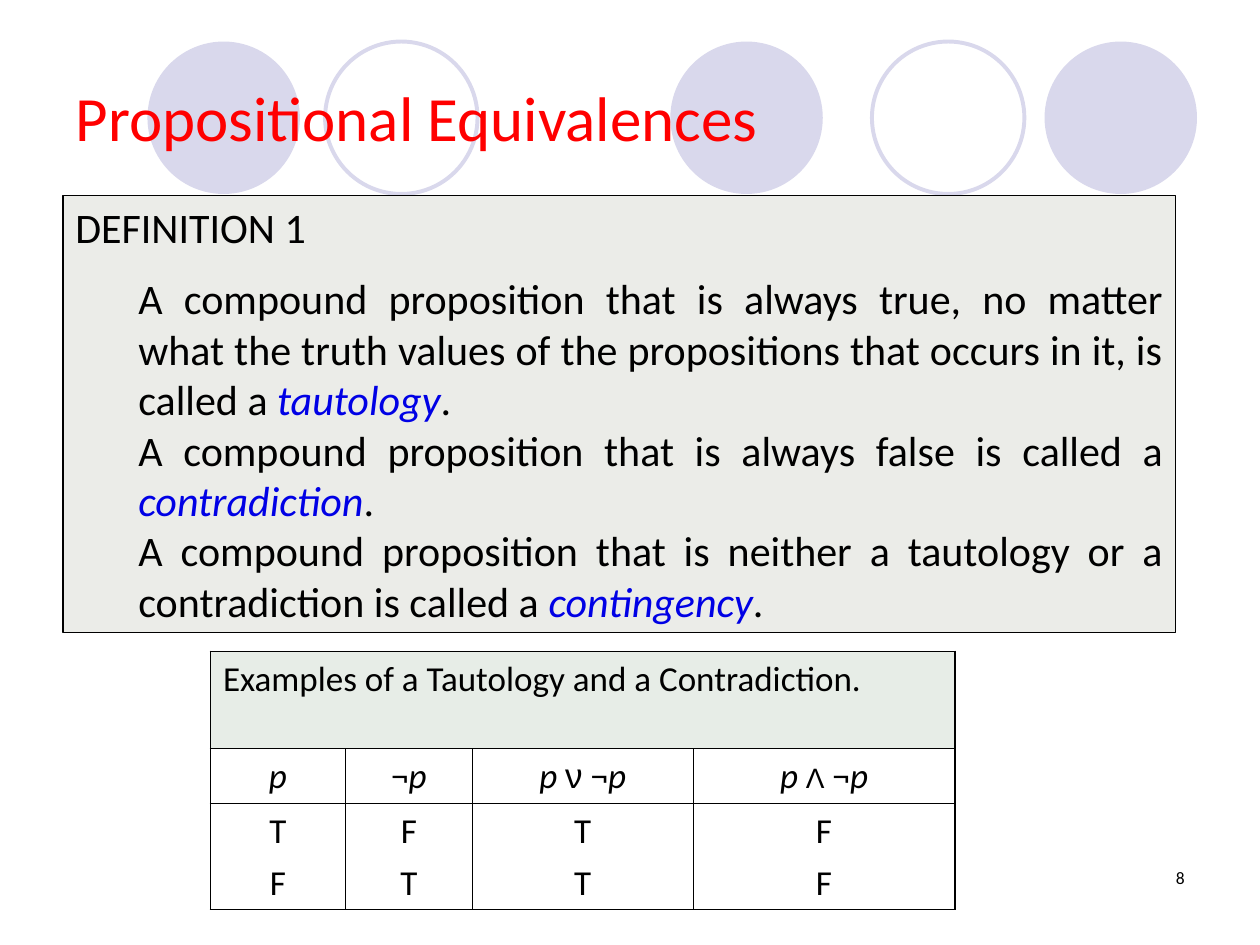
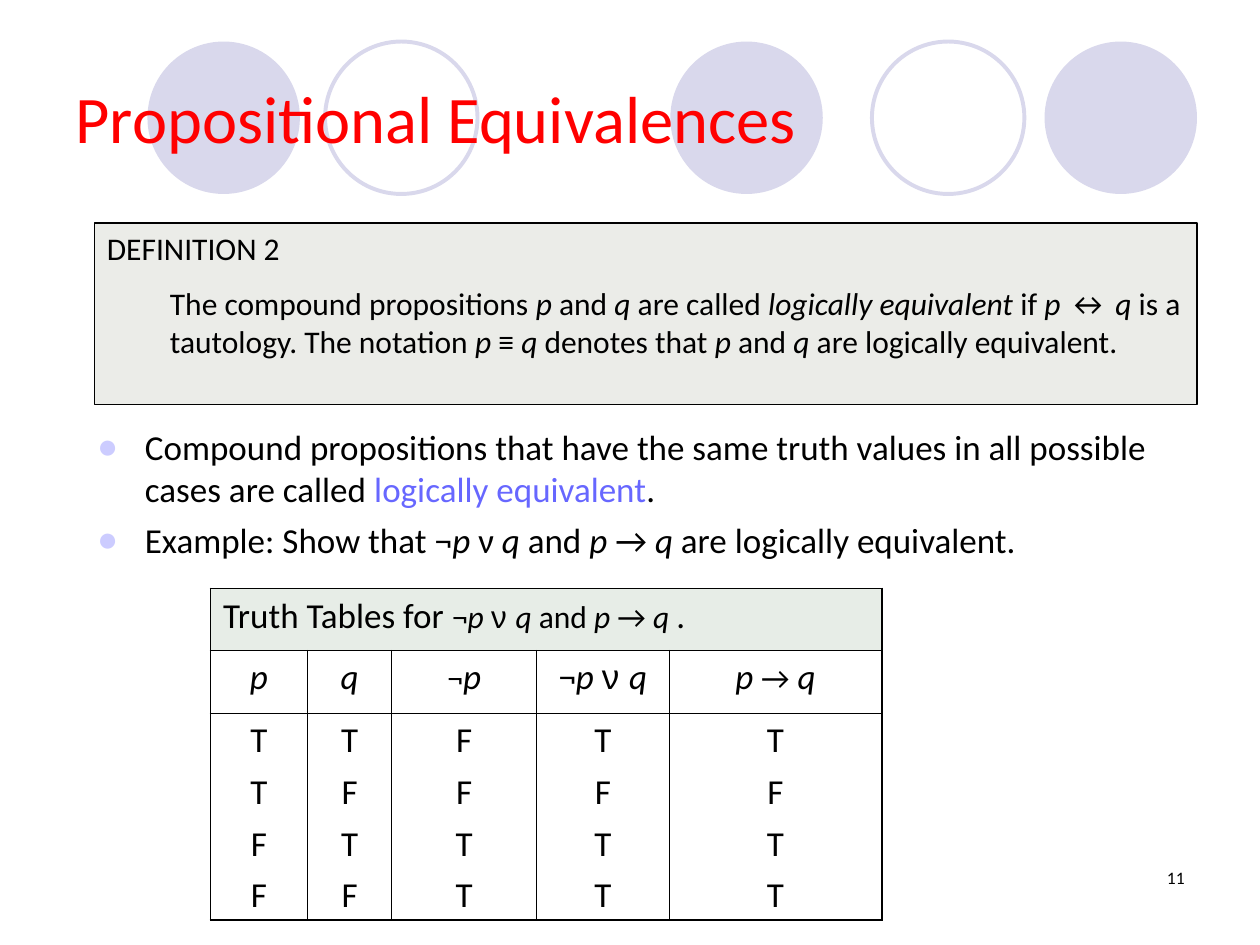
from dataclasses import dataclass, field

from lxml import etree
from pptx import Presentation
from pptx.dml.color import RGBColor
from pptx.enum.shapes import MSO_SHAPE
from pptx.enum.text import MSO_ANCHOR, MSO_AUTO_SIZE, PP_ALIGN
from pptx.oxml.ns import qn
from pptx.util import Inches, Pt

OVAL, RECT = MSO_SHAPE.OVAL, MSO_SHAPE.RECTANGLE
TOP, MIDDLE, FIXED = MSO_ANCHOR.TOP, MSO_ANCHOR.MIDDLE, MSO_AUTO_SIZE.NONE
LEFT, RIGHT, CENTER, JUST = PP_ALIGN.LEFT, PP_ALIGN.RIGHT, PP_ALIGN.CENTER, PP_ALIGN.JUSTIFY


@dataclass(frozen=True)
class Theme:
    """Colours, fonts, sizes and named run styles."""
    ink: str = "000000"
    red: str = "FF0000"
    disc: str = "D9D8EC"
    panel: str = "EBECE8"
    head: str = "E7EDE7"
    dot: str = "CCCCFF"
    font: str = "Calibri"
    sign: str = "Arial"
    text: int = 20
    page: int = 10
    gap: int = 5
    thin: float = 0.45
    thick: float = 1.08
    marks: dict = field(default_factory=lambda: {
        "i": {"italic": True},
        "b": {"italic": True, "color": "0000E5"},
        "v": {"color": "6767FF"},
        "g": {"name": "Arial"},
        "l": {"name": "Arial", "size": 16},
        "s": {"size": 18},
        "j": {"size": 18, "italic": True},
        "h": {"size": 18, "name": "Arial"},
    })


THEME = Theme()


def inches(*box):
    """Turn numbers into lengths."""
    return [Inches(n) for n in box]


def rgb(code):
    """Turn a hex code into a colour."""
    return RGBColor.from_string(code)


def apply(item, **vals):
    """Set attributes of an object from format values."""
    for key, val in vals.items():
        setattr(item, key, val)


def style(font, **look):
    """Format a font from plain values."""
    for key, val in look.items():
        if key == "color":
            font.color.rgb = rgb(val)
        else:
            setattr(font, key, Pt(val) if key == "size" else val)


def write(para, text, size, color=THEME.ink):
    """Fill a paragraph; each |x...| part takes the run style named x."""
    base = {"name": THEME.font, "size": size, "color": color, "italic": False}
    for n, part in enumerate(text.split("|")):
        if part:
            look = THEME.marks[part[0]] if n % 2 else {}
            run = para.add_run()
            run.text = part[1:] if n % 2 else part
            style(run.font, **{**base, **look})


def fill_text(frame, lines, size, align=LEFT, gap=0, color=THEME.ink):
    """Write lines into a frame and return their paragraphs."""
    paras = []
    for n, line in enumerate(lines):
        para = frame.add_paragraph() if n else frame.paragraphs[0]
        apply(para, alignment=align, space_before=Pt(gap if n else 0))
        write(para, line, size, color)
        paras.append(para)
    return paras


def add_discs(deck, slide):
    """Draw the circle band and move it to the master."""
    tree = deck.slide_master.shapes.element
    spots = [(5.32, True), (8.29, True), (1.17, True), (6.92, False), (2.58, False)]
    for n, (left, solid) in enumerate(spots):
        disc = slide.shapes.add_shape(OVAL, *inches(left, 0.33, 1.21, 1.21))
        disc.shadow.inherit = False
        if solid:
            disc.fill.solid()
            disc.fill.fore_color.rgb = rgb(THEME.disc)
            disc.line.fill.background()
        else:
            disc.fill.background()
            disc.line.color.rgb = rgb(THEME.disc)
            disc.line.width = Pt(2.25)
        disc.element.nvSpPr.cNvPr.id = 20 + n
        tree.insert(2 + n, disc.element)


def place(shape, box):
    """Move a shape to a box."""
    apply(shape, **dict(zip(("left", "top", "width", "height"), inches(*box))))


def add_base(deck, layout, size, page):
    """Start a slide with its title and page number."""
    slide = deck.slides.add_slide(deck.slide_layouts[layout])
    title = slide.shapes.title
    place(title, (0.5, 0.3, 9, 1.25))
    apply(title.text_frame, vertical_anchor=MIDDLE, auto_size=FIXED)
    fill_text(title.text_frame, ["Propositional Equivalences"], size, color=THEME.red)
    note = slide.shapes.add_textbox(*inches(7.17, 6.83, 2.33, 0.5))
    note.text_frame.word_wrap = True
    fill_text(note.text_frame, [page], THEME.page, RIGHT)
    return slide


def add_panel(slide, box, lines, size, align, gap):
    """Draw a definition box: a heading, then indented lines."""
    panel = slide.shapes.add_shape(RECT, *inches(*box))
    panel.shadow.inherit = False
    panel.fill.solid()
    panel.fill.fore_color.rgb = rgb(THEME.panel)
    panel.line.color.rgb = rgb(THEME.ink)
    panel.line.width = Pt(0.75)
    apply(panel.text_frame, word_wrap=True, vertical_anchor=TOP)
    paras = fill_text(panel.text_frame, lines, size, align)
    paras[1].space_before = Pt(gap)
    for para in paras[1:]:
        para.level = 1
        props = para._p.get_or_add_pPr()
        props.set("marL", str(Inches(0.5)))
        props.set("indent", "0")


def add_list(slide, box, lines):
    """Fill the body placeholder with a bulleted list."""
    body = slide.placeholders[1]
    place(body, box)
    body.text_frame.auto_size = FIXED
    for para in fill_text(body.text_frame, lines, THEME.text, gap=THEME.gap):
        props = para._p.get_or_add_pPr()
        props.set("marL", str(Inches(0.38)))
        props.set("indent", str(-Inches(0.38)))
        tint = etree.SubElement(props, qn("a:buClr"))
        etree.SubElement(tint, qn("a:srgbClr"), val=THEME.dot)
        etree.SubElement(props, qn("a:buFont"), typeface=THEME.sign)
        etree.SubElement(props, qn("a:buChar"), char="●")


def edge(cell, side, width):
    """Add one border to a cell."""
    line = etree.SubElement(cell._tc.get_or_add_tcPr(), qn(f"a:ln{side}"), w=str(Pt(width)))
    paint = etree.SubElement(line, qn("a:solidFill"))
    etree.SubElement(paint, qn("a:srgbClr"), val=THEME.ink)


def add_truth(slide, spot, cols, rows, title, heads, vals):
    """Draw a truth table; each value string lists one column downwards."""
    box = inches(*spot, sum(cols), sum(rows))
    table = slide.shapes.add_table(len(rows), len(cols), *box).table
    apply(table, first_row=False, horz_banding=False)
    for col, width in zip(table.columns, cols):
        col.width = Inches(width)
    for row, height in zip(table.rows, rows):
        row.height = Inches(height)
    table.cell(0, 0).merge(table.cell(0, len(cols) - 1))
    grid = [[[title]], [[head] for head in heads], vals]
    for r, row in enumerate(grid):
        for c, lines in enumerate(row):
            cell = table.cell(r, c)
            ends = {"L": c == 0, "R": c + cell.span_width == len(cols) or r == 0,
                    "T": r == 0, "B": r == len(rows) - 1}
            for side, outer in ends.items():
                edge(cell, side, THEME.thick if outer else THEME.thin)
            if r:
                cell.fill.background()
            else:
                cell.fill.solid()
                cell.fill.fore_color.rgb = rgb(THEME.head)
            fill_text(cell.text_frame, lines, THEME.text, CENTER if r else LEFT, THEME.gap)


def build_kinds(deck):
    """Build the slide on tautology, contradiction and contingency."""
    slide = add_base(deck, 5, 36, "8")
    add_discs(deck, slide)
    add_panel(slide, (0.5, 1.55, 8.83, 3.47), [
        "DEFINITION 1",
        "A compound proposition that is always true, no matter what the truth values "
        "of the propositions that occurs in it, is called a |btautology|.",
        "A compound proposition that is always false is called a |bcontradiction|.",
        "A compound proposition that is neither a tautology or a contradiction "
        "is called a |bcontingency|.",
    ], 24, JUST, 12)
    add_truth(slide, (1.67, 5.17), (1.07, 1.01, 1.75, 2.08), (0.77, 0.44, 0.84),
              "Examples of a Tautology and a Contradiction.",
              ["|ip|", "¬|ip|", "|ip ||gν| ¬|ip|", "|ip ||lΛ| ¬|ip|"],
              ["TF", "FT", "TT", "FF"])


def build_equal(deck):
    """Build the slide on logical equivalence."""
    slide = add_base(deck, 1, 38, "11")
    add_panel(slide, (0.75, 1.77, 8.75, 1.44), [
        "DEFINITION 2",
        "The compound propositions |ip| and |iq| are called |ilogically equivalent| if "
        "|ip |↔ |iq| is a tautology. The notation |ip |≡ |iq| denotes that |ip| and |iq| "
        "are logically equivalent.",
    ], 18, LEFT, 10)
    add_truth(slide, (1.67, 4.67), (0.77, 0.67, 1.15, 1.05, 1.69), (0.49, 0.5, 1.64),
              "Truth Tables for |s¬||jp ||hν ||jq||s and ||jp||s → ||jq |.",
              ["|ip|", "|iq|", "|s¬||ip|", "¬|ip ||gν ||iq|", "|ip ||s→| |iq|"],
              ["TTFF", "TFTF", "FFTT", "TFTT", "TFTT"])
    add_list(slide, (0.67, 3.33, 9.08, 1.42), [
        "Compound propositions that have the same truth values in all possible cases "
        "are called |vlogically equivalent|.",
        "Example: Show that ¬|ip |ν |iq| and |ip| → |iq| are logically equivalent.",
    ])


def main():
    """Build and save the deck."""
    deck = Presentation()
    apply(deck, slide_width=Inches(10), slide_height=Inches(7.5))
    build_kinds(deck)
    build_equal(deck)
    deck.save("out.pptx")


if __name__ == "__main__":
    main()
